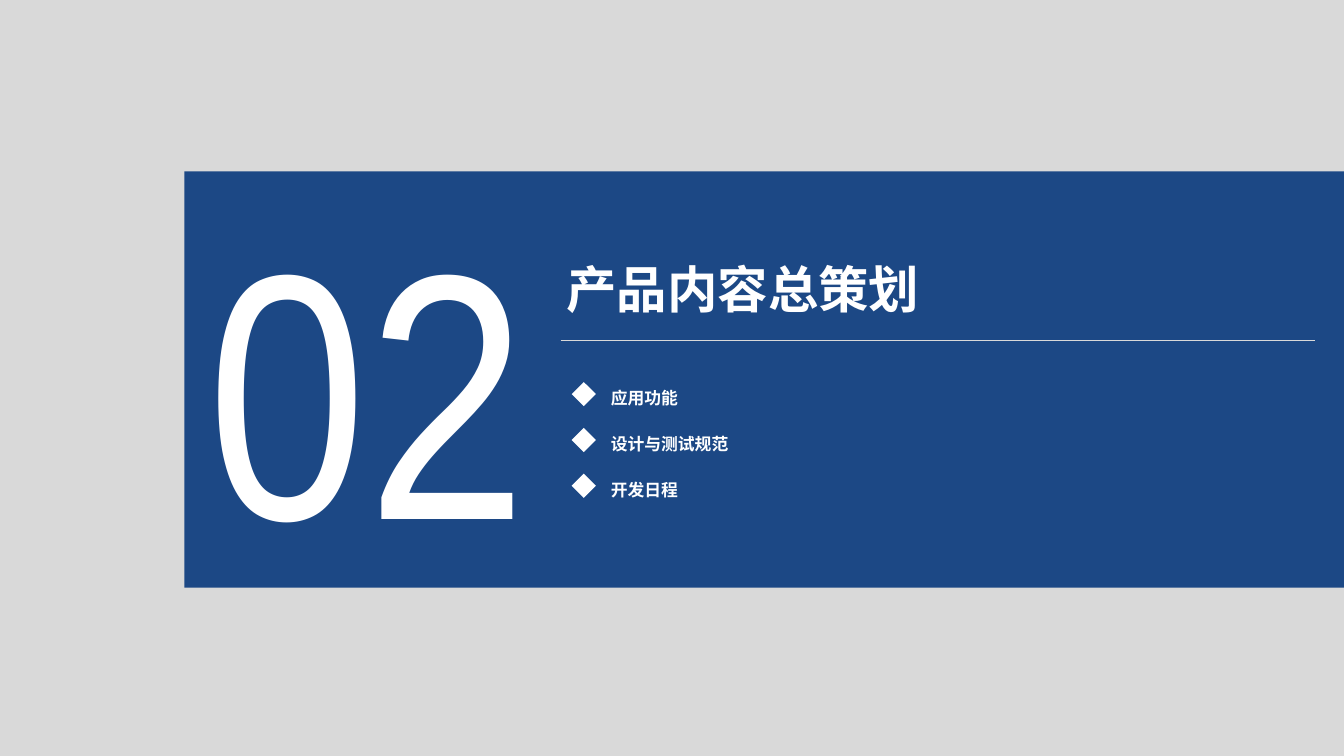
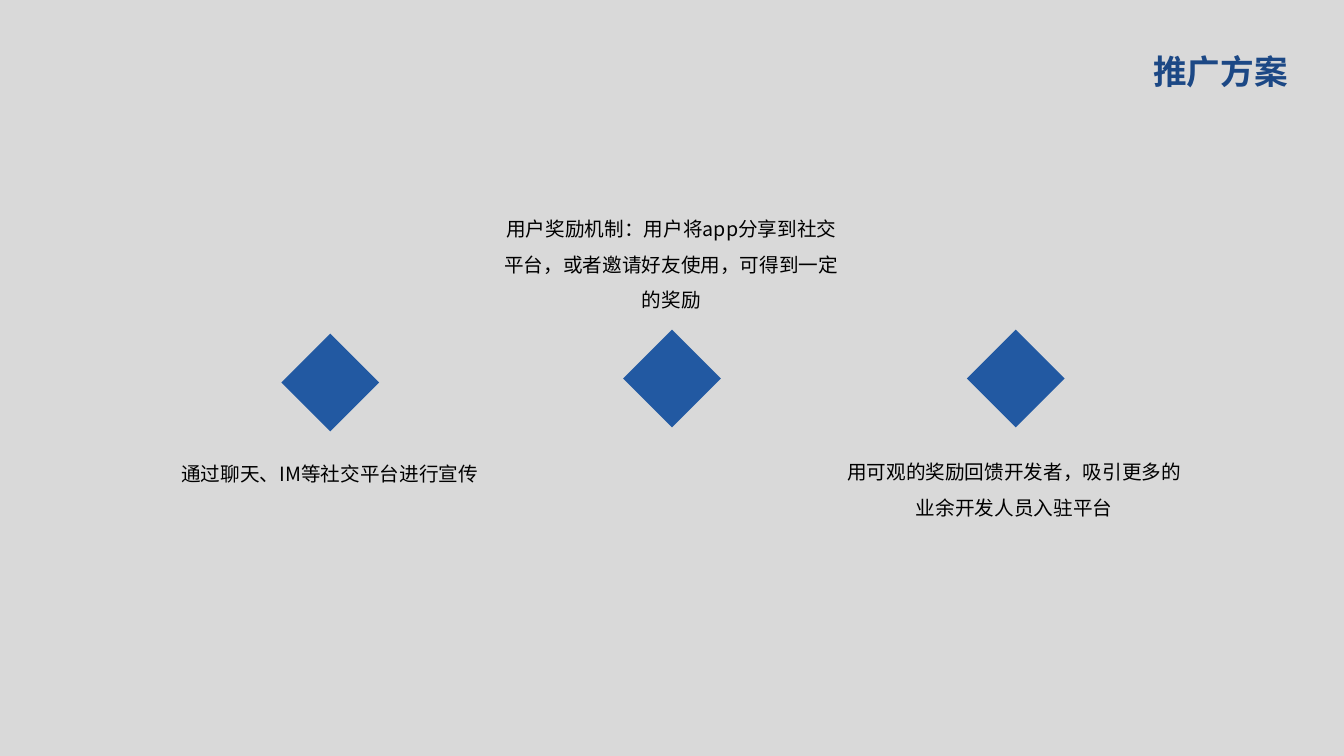
from dataclasses import dataclass

from lxml.etree import SubElement
from pptx import Presentation
from pptx.dml.color import RGBColor
from pptx.enum.shapes import MSO_CONNECTOR, MSO_SHAPE
from pptx.enum.text import MSO_AUTO_SIZE, PP_ALIGN
from pptx.oxml.ns import qn
from pptx.slide import Slide
from pptx.util import Inches, Pt

GREY = RGBColor(0xD9, 0xD9, 0xD9)
NAVY = RGBColor(0x1C, 0x48, 0x85)
BLUE = RGBColor(0x22, 0x59, 0xA2)
WHITE = RGBColor(0xFF, 0xFF, 0xFF)
BLACK = RGBColor(0x00, 0x00, 0x00)
CJK_FONT = "Noto Sans CJK SC"
NUMBER_FONT = "Arial Narrow"


@dataclass(frozen=True)
class Box:
    left: float
    top: float
    width: float
    height: float

    def emu(self) -> tuple[int, int, int, int]:
        return (Inches(self.left), Inches(self.top),
                Inches(self.width), Inches(self.height))


@dataclass(frozen=True)
class Channel:
    text: str
    diamond_left: float
    diamond_top: float
    text_box: Box


TOPICS = ["应用功能", "设计与测试规范", "开发日程"]
TOPIC_TOP = 3.7
TOPIC_STEP = 0.455

CHANNELS = [
    Channel("通过聊天、IM等社交平台进行宣传",
            2.79, 3.31, Box(1.44, 4.42, 3.66, 0.45)),
    Channel("用户奖励机制：用户将app分享到社交平台，或者邀请好友使用，可得到一定的奖励",
            6.18, 3.27, Box(4.83, 1.99, 3.66, 1.16)),
    Channel("用可观的奖励回馈开发者，吸引更多的业余开发人员入驻平台",
            9.59, 3.27, Box(8.23, 4.4, 3.66, 0.81)),
]


def add_slide(prs: Presentation) -> Slide:
    slide = prs.slides.add_slide(prs.slide_layouts[6])
    slide.background.fill.solid()
    slide.background.fill.fore_color.rgb = GREY
    return slide


def add_text(slide: Slide, text: str, box: Box, *, size: float,
             color: RGBColor, bold: bool = False, font: str = CJK_FONT,
             align: PP_ALIGN = PP_ALIGN.LEFT, spacing: float = 1.0) -> None:
    tf = slide.shapes.add_textbox(*box.emu()).text_frame
    tf.word_wrap = True
    tf.auto_size = MSO_AUTO_SIZE.SHAPE_TO_FIT_TEXT
    p = tf.paragraphs[0]
    p.alignment = align
    p.line_spacing = spacing
    r = p.add_run()
    r.text = text
    r.font.size = Pt(size)
    r.font.bold = bold
    r.font.color.rgb = color
    r.font.name = font
    SubElement(r.font._element, qn("a:ea")).set("typeface", font)


def add_shape(slide: Slide, kind: MSO_SHAPE, box: Box, color: RGBColor) -> None:
    sp = slide.shapes.add_shape(kind, *box.emu())
    sp.shadow.inherit = False
    sp.fill.solid()
    sp.fill.fore_color.rgb = color
    sp.line.fill.background()


def add_diamond(slide: Slide, left: float, top: float, size: float,
                color: RGBColor) -> None:
    add_shape(slide, MSO_SHAPE.DIAMOND, Box(left, top, size, size), color)


def add_rule(slide: Slide, left: float, right: float, y: float) -> None:
    line = slide.shapes.add_connector(
        MSO_CONNECTOR.STRAIGHT, Inches(left), Inches(y), Inches(right), Inches(y))
    line.line.color.rgb = GREY
    line.line.width = Pt(0.5)
    SubElement(line._element.spPr, qn("a:effectLst"))


def build_section(prs: Presentation) -> None:
    slide = add_slide(prs)
    add_shape(slide, MSO_SHAPE.RECTANGLE, Box(1.83, 1.7, 11.5, 4.13), NAVY)
    add_text(slide, "产品内容总策划", Box(5.52, 2.51, 4.11, 0.71),
             size=36, color=WHITE, bold=True, align=PP_ALIGN.JUSTIFY)
    add_rule(slide, 5.56, 13.04, 3.38)
    for i, topic in enumerate(TOPICS):
        top = TOPIC_TOP + i * TOPIC_STEP
        add_text(slide, topic, Box(5.96, top, 2.27, 0.4),
                 size=12, color=WHITE, bold=True, spacing=1.5)
        add_diamond(slide, 5.67, top + 0.09, 0.24, WHITE)
    add_text(slide, "02", Box(1.81, 1.63, 3.67, 4.31), size=250, color=WHITE,
             font=NUMBER_FONT, align=PP_ALIGN.CENTER)


def build_promotion(prs: Presentation) -> None:
    slide = add_slide(prs)
    add_text(slide, "推广方案", Box(9.22, 0.46, 3.65, 0.5),
             size=24, color=NAVY, bold=True, align=PP_ALIGN.RIGHT)
    for channel in CHANNELS:
        add_diamond(slide, channel.diamond_left, channel.diamond_top, 0.97, BLUE)
        add_text(slide, channel.text, channel.text_box, size=14, color=BLACK,
                 align=PP_ALIGN.CENTER, spacing=1.5)


def main() -> None:
    prs = Presentation()
    prs.slide_width = Inches(13.33)
    prs.slide_height = Inches(7.5)
    build_section(prs)
    build_promotion(prs)
    prs.save("out.pptx")


if __name__ == "__main__":
    main()
